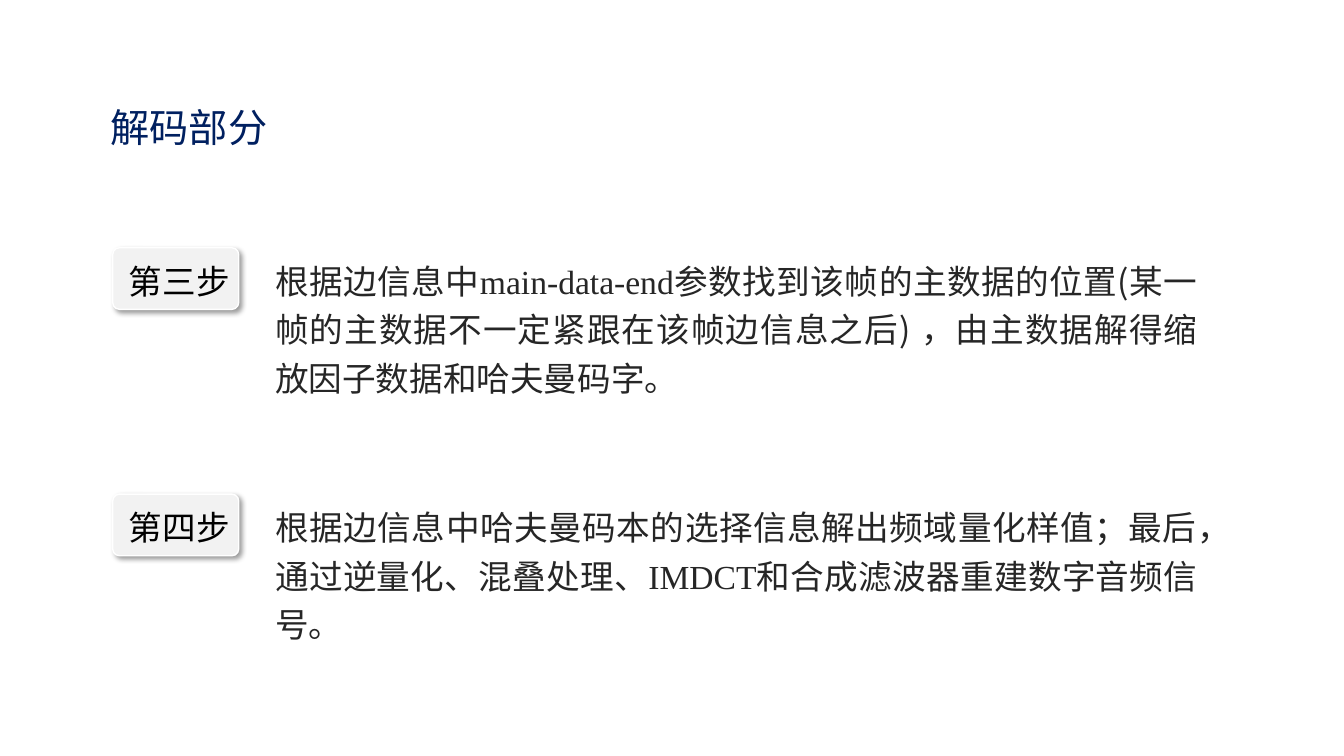
from dataclasses import dataclass

from lxml import etree
from pptx import Presentation
from pptx.dml.color import RGBColor
from pptx.enum import lang, shapes, text
from pptx.oxml import ns
from pptx.shapes.autoshape import Shape
from pptx.slide import Slide
from pptx.text.text import _Run as Run
from pptx.util import Pt


@dataclass(frozen=True)
class Theme:
    latin: str = "Times New Roman"
    cjk: str = "Noto Sans CJK SC"
    title: str = "002060"
    label: str = "000000"
    body: str = "262626"
    badge: str = "F2F2F2"
    edge: str = "FFFFFF"
    shadow: str = "000000"
    title_size: float = 28
    text_size: float = 24


@dataclass(frozen=True)
class Step:
    label: str
    before: str
    term: str
    after: str
    top: float
    height: float


THEME = Theme()
STEPS = [
    Step("第三步", "根据边信息中", "main-data-end",
         "参数找到该帧的主数据的位置(某一帧的主数据不一定紧跟在该帧边信息之后) ，"
         "由主数据解得缩放因子数据和哈夫曼码字。", 177, 109.5),
    Step("第四步", "根据边信息中哈夫曼码本的选择信息解出频域量化样值；最后，通过逆量化、混叠处理、",
         "IMDCT", "和合成滤波器重建数字音频信号。", 353, 111.5),
]


def format_run(r: Run, size: float, color: str, latin: str) -> None:
    r.font.size = Pt(size)
    r.font.color.rgb = RGBColor.from_string(color)
    r.font.name = latin
    r.font.language_id = lang.MSO_LANGUAGE_ID.SIMPLIFIED_CHINESE
    ea = etree.SubElement(r.font._element, ns.qn("a:ea"))
    ea.set("typeface", THEME.cjk)


def add_text(parent, left: float, top: float, width: float, height: float,
             wrap: bool = True) -> Shape:
    sp = parent.add_textbox(Pt(left), Pt(top), Pt(width), Pt(height))
    sp.text_frame.word_wrap = wrap
    sp.text_frame.auto_size = text.MSO_AUTO_SIZE.SHAPE_TO_FIT_TEXT
    return sp


def add_shadow(sp: Shape) -> None:
    sp.shadow.inherit = False
    effects = sp._element.spPr.find(ns.qn("a:effectLst"))
    outer = etree.SubElement(effects, ns.qn("a:outerShdw"), blurRad=str(Pt(4)),
                             dist=str(Pt(3)), dir="2700000", algn="tl", rotWithShape="0")
    color = etree.SubElement(outer, ns.qn("a:srgbClr"), val=THEME.shadow)
    etree.SubElement(color, ns.qn("a:alpha"), val="40000")


def add_title(s: Slide, title: str) -> None:
    p = add_text(s.shapes, 72, 70, 126.5, 41, wrap=False).text_frame.paragraphs[0]
    p.text = title
    format_run(p.runs[0], THEME.title_size, THEME.title, THEME.latin)


def add_badge(s: Slide, step: Step) -> None:
    group = s.shapes.add_group_shape().shapes
    sp = group.add_shape(shapes.MSO_SHAPE.ROUNDED_RECTANGLE,
                         Pt(80.5), Pt(step.top), Pt(90), Pt(44))
    sp.adjustments[0] = 0.11
    sp.fill.solid()
    sp.fill.fore_color.rgb = RGBColor.from_string(THEME.badge)
    sp.line.color.rgb = RGBColor.from_string(THEME.edge)
    sp.line.width = Pt(1)
    add_shadow(sp)
    p = add_text(group, 85, step.top + 5.5, 88.5, 36).text_frame.paragraphs[0]
    p.text = step.label
    format_run(p.runs[0], THEME.text_size, THEME.label, THEME.cjk)


def add_description(s: Slide, step: Step) -> None:
    p = add_text(s.shapes, 189.5, step.top, 673, step.height).text_frame.paragraphs[0]
    p.alignment = text.PP_ALIGN.JUSTIFY
    p.line_spacing = 1.2
    for part, font in ((step.before, THEME.cjk), (step.term, THEME.latin),
                       (step.after, THEME.cjk)):
        r = p.add_run()
        r.text = part
        format_run(r, THEME.text_size, THEME.body, font)


def main() -> None:
    prs = Presentation()
    prs.slide_width, prs.slide_height = Pt(960), Pt(540)
    s = prs.slides.add_slide(prs.slide_layouts[6])
    add_title(s, "解码部分")
    for step in STEPS:
        add_badge(s, step)
        add_description(s, step)
    prs.save("out.pptx")


if __name__ == "__main__":
    main()
